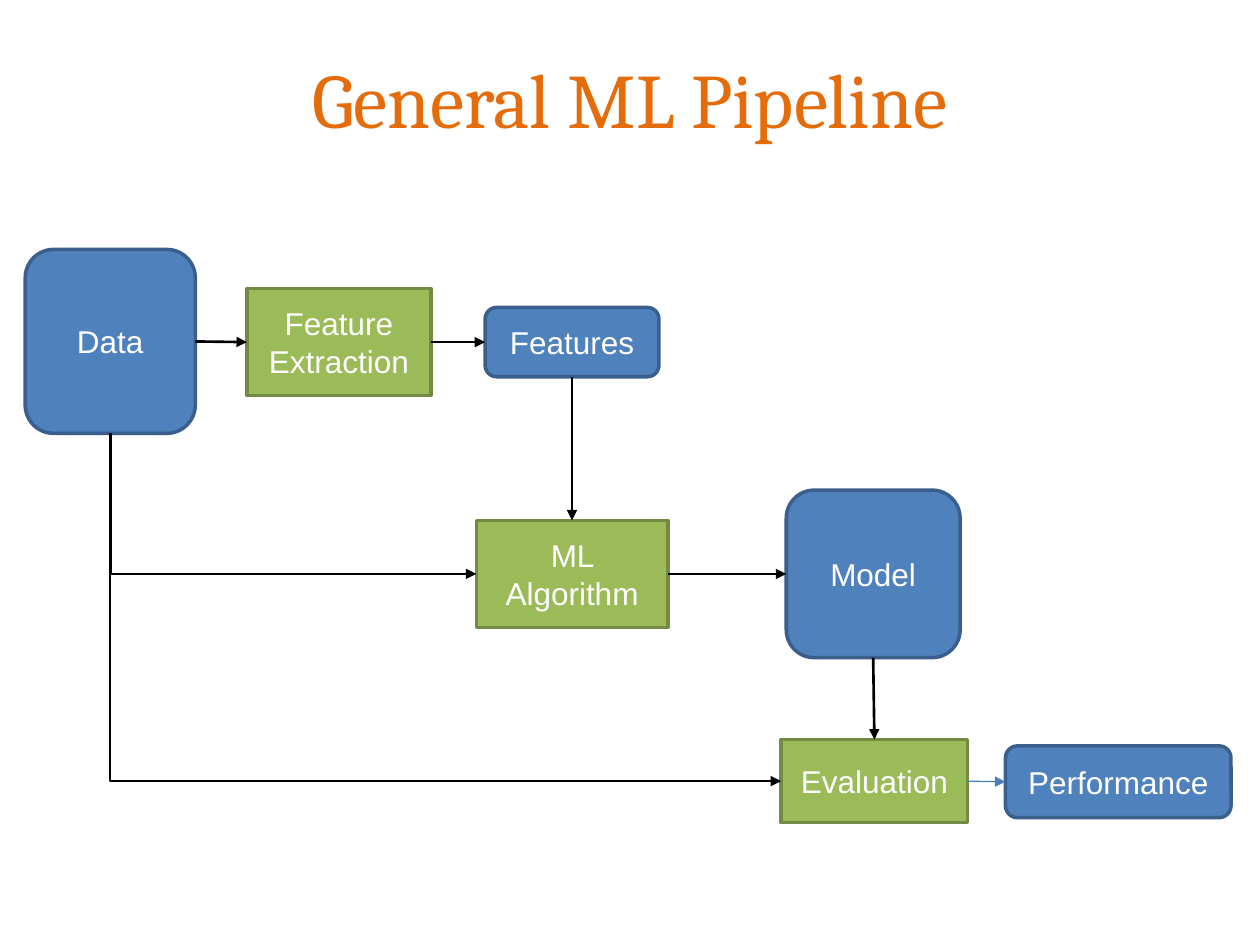
from pptx import Presentation
from pptx.dml.color import RGBColor
from pptx.enum.shapes import MSO_CONNECTOR, MSO_SHAPE
from pptx.enum.text import MSO_ANCHOR, PP_ALIGN
from pptx.oxml.ns import qn
from pptx.util import Inches, Pt
from lxml import etree

ROUNDED, RECTANGLE = MSO_SHAPE.ROUNDED_RECTANGLE, MSO_SHAPE.RECTANGLE
STRAIGHT, ELBOW = MSO_CONNECTOR.STRAIGHT, MSO_CONNECTOR.ELBOW
MIDDLE, CENTER = MSO_ANCHOR.MIDDLE, PP_ALIGN.CENTER
TOP, LEFT, BOTTOM, RIGHT = range(4)  # connection sites of a box

# Kind of box: shape, fill, outline
ARTIFACT = (ROUNDED, "4F81BD", "3A5F8C")
PROCESS = (RECTANGLE, "9BBB59", "738A42")

# Label, kind, left, top, width, height
BOXES = [
    ("Data", ARTIFACT, 0.2, 1.98, 1.35, 1.46),
    ("Features", ARTIFACT, 3.85, 2.44, 1.38, 0.55),
    ("Model", ARTIFACT, 6.24, 3.89, 1.38, 1.33),
    ("ML Algorithm", PROCESS, 3.78, 4.13, 1.52, 0.85),
    ("Feature Extraction", PROCESS, 1.96, 2.29, 1.46, 0.85),
    ("Evaluation", PROCESS, 6.2, 5.87, 1.48, 0.66),
    ("Performance", ARTIFACT, 7.98, 5.92, 1.79, 0.57),
]

# Source, its site, target, its site, colour, width
STRAIGHT_ARROWS = [
    ("Data", RIGHT, "Feature Extraction", LEFT, "000000", 1.5),
    ("Feature Extraction", RIGHT, "Features", LEFT, "000000", 1.5),
    ("Features", BOTTOM, "ML Algorithm", TOP, "000000", 1.5),
    ("ML Algorithm", RIGHT, "Model", LEFT, "000000", 1.5),
    ("Model", BOTTOM, "Evaluation", TOP, "000000", 1.5),
    ("Evaluation", RIGHT, "Performance", LEFT, "4B7EBC", 0.75),
]


def color(value):
    return RGBColor.from_string(value)


def format_text(frame, text, font_name, size, text_color):
    frame.text = text
    frame.word_wrap = True
    frame.vertical_anchor = MIDDLE
    para = frame.paragraphs[0]
    para.alignment = CENTER
    font = para.runs[0].font
    for name, value in {"name": font_name, "size": Pt(size)}.items():
        setattr(font, name, value)
    font.color.rgb = color(text_color)


def add_title(page, text):
    title = page.shapes.title
    place = {"left": 0.5, "top": 0.3, "width": 9, "height": 0.95}
    for name, value in place.items():
        setattr(title, name, Inches(value))
    format_text(title.text_frame, text, "Cambria", 44, "E46C0A")


def add_box(page, label, kind, *place):
    preset, fill, outline = kind
    box = page.shapes.add_shape(preset, *map(Inches, place))
    box.shadow.inherit = False
    box.fill.solid()
    box.fill.fore_color.rgb = color(fill)
    box.line.color.rgb = color(outline)
    box.line.width = Pt(2)
    format_text(box.text_frame, label, "Arial", 18, "FFFFFF")
    return box


def format_arrow(arrow, line_color, width):
    arrow.line.color.rgb = color(line_color)
    arrow.line.width = Pt(width)
    properties = arrow._element.spPr
    outline = properties.find(qn("a:ln"))
    etree.SubElement(outline, qn("a:tailEnd"), type="triangle")
    etree.SubElement(properties, qn("a:effectLst"))


def add_straight_arrow(page, source, start_site, target, end_site, line_color, width):
    arrow = page.shapes.add_connector(STRAIGHT, 0, 0, 0, 0)
    arrow.begin_connect(source, start_site)
    arrow.end_connect(target, end_site)
    format_arrow(arrow, line_color, width)


def add_down_right_arrow(page, source, target):
    """Run down from the source's bottom, then right to the target's left side."""
    start_x, start_y = source.left + source.width // 2, source.top + source.height
    end_x, end_y = target.left, target.top + target.height // 2
    center_x, center_y = (start_x + end_x) // 2, (start_y + end_y) // 2
    half_across, half_down = (end_x - start_x) // 2, (end_y - start_y) // 2
    # A one-bend connector, mirrored and turned by 270 degrees about its centre
    arrow = page.shapes.add_connector(
        ELBOW, center_x + half_down, center_y - half_across,
        center_x - half_down, center_y + half_across)
    properties = arrow._element.spPr
    properties.find(qn("a:xfrm")).set("rot", str(270 * 60000))
    properties.find(qn("a:prstGeom")).set("prst", "bentConnector2")
    format_arrow(arrow, "000000", 1.5)


def main():
    deck = Presentation()
    deck.slide_width, deck.slide_height = Inches(10), Inches(7.5)
    page = deck.slides.add_slide(deck.slide_layouts[5])
    add_title(page, "General ML Pipeline")

    # Pipeline steps
    boxes = {label: add_box(page, label, *rest) for label, *rest in BOXES}

    # Flow between the steps
    for source, start_site, target, end_site, *style in STRAIGHT_ARROWS:
        add_straight_arrow(page, boxes[source], start_site,
                           boxes[target], end_site, *style)
    for target in ("ML Algorithm", "Evaluation"):
        add_down_right_arrow(page, boxes["Data"], boxes[target])

    deck.save("out.pptx")


if __name__ == "__main__":
    main()
